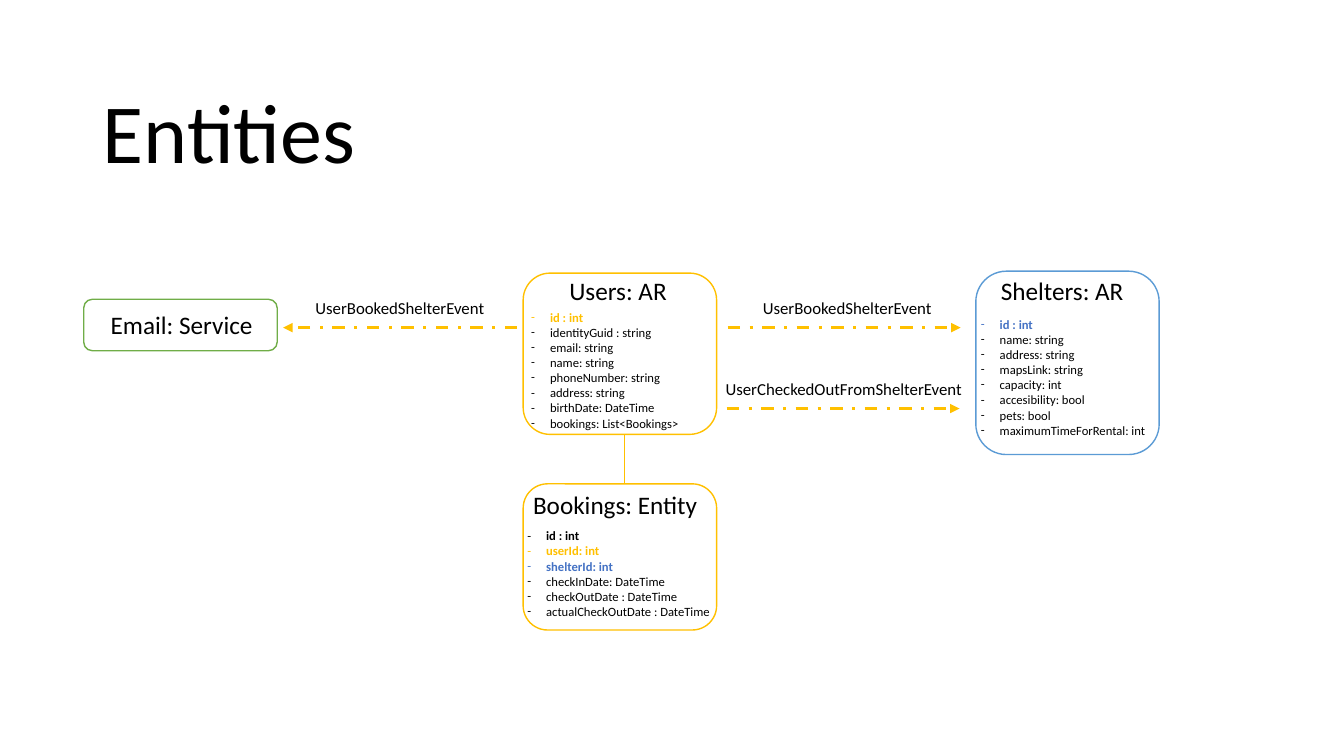
import dataclasses
import typing

import lxml.etree
import pptx
import pptx.dml.color
import pptx.enum.dml
import pptx.enum.shapes
import pptx.enum.text
import pptx.oxml.ns
import pptx.util

Pt = pptx.util.Pt
qn = pptx.oxml.ns.qn
Anchor = pptx.enum.text.MSO_ANCHOR
Align = pptx.enum.text.PP_ALIGN


@dataclasses.dataclass(frozen=True)
class Theme:
    """Colours, font and type sizes of the slide."""
    font: str = "Calibri"
    ink: str = "000000"
    paper: str = "FFFFFF"
    user: str = "FFC000"
    shelter: str = "5B9BD5"
    shelter_key: str = "4472C4"
    service: str = "70AD47"
    title: float = 60
    heading: float = 18
    event: float = 12
    field: float = 9


THEME = Theme()


class Box(typing.NamedTuple):
    """A rectangle in points."""
    left: float
    top: float
    width: float
    height: float


class Field(typing.NamedTuple):
    """One attribute of an entity; keys are bold."""
    text: str
    color: str = THEME.ink
    bold: bool = False


@dataclasses.dataclass(frozen=True)
class Entity:
    """A rounded card with a heading and, for data types, a field list."""
    heading: str
    color: str
    card: Box
    heading_box: Box
    fields_box: typing.Optional[Box] = None
    fields: tuple[Field, ...] = ()


class Event(typing.NamedTuple):
    """A labelled event sent from one entity to another."""
    label: str
    label_box: Box
    start: tuple[float, float]
    end: tuple[float, float]


ENTITIES = [
    Entity("Shelters: AR", THEME.shelter, Box(697, 193.7, 131, 131),
           Box(707.8, 193, 112.3, 28.8), Box(693.4, 222.5, 140.4, 94.3),
           (Field("id : int", THEME.shelter_key, True), Field("name: string"),
            Field("address: string"), Field("mapsLink: string"),
            Field("capacity: int"), Field("accesibility: bool"),
            Field("pets: bool"), Field("maximumTimeForRental: int"))),
    Entity("Bookings: Entity", THEME.user, Box(373.7, 345.6, 138.2, 104.4),
           Box(373.7, 346.3, 153.4, 28.8), Box(369.4, 373.7, 146.9, 83.5),
           (Field("id : int", bold=True), Field("userId: int", THEME.user, True),
            Field("shelterId: int", THEME.shelter_key, True),
            Field("checkInDate: DateTime"), Field("checkOutDate : DateTime"),
            Field("actualCheckOutDate : DateTime"))),
    Entity("Users: AR", THEME.user, Box(373.7, 195.1, 138.2, 115.2),
           Box(399.6, 193, 96.5, 28.8), Box(372.2, 217.4, 140.4, 94.3),
           (Field("id : int", THEME.user, True), Field("identityGuid : string"),
            Field("email: string"), Field("name: string"),
            Field("phoneNumber: string"), Field("address: string"),
            Field("birthDate: DateTime"), Field("bookings: List<Bookings>"))),
    Entity("Email: Service", THEME.service, Box(59.8, 213.8, 138.2, 36.7),
           Box(72, 217.4, 122.4, 28.8)),
]

EVENTS = [
    Event("UserBookedShelterEvent", Box(537.8, 208.8, 140.4, 21.6),
          (519.8, 234), (686.2, 234)),
    Event("UserCheckedOutFromShelterEvent", Box(511.2, 267.1, 183.6, 21.6),
          (519.1, 291.8), (685.4, 291.8)),
    Event("UserBookedShelterEvent", Box(218.2, 208.8, 140.4, 21.6),
          (369.4, 234), (202.3, 234)),
]


def apply(target: typing.Any, values: dict[str, typing.Any]) -> None:
    """Set each named attribute on the target."""
    for name, value in values.items():
        setattr(target, name, value)


def place(holder: typing.Any, box: Box) -> None:
    """Move a placeholder to a box given in points."""
    apply(holder, {name: Pt(value) for name, value in box._asdict().items()})


def rgb(color: str) -> pptx.dml.color.RGBColor:
    """Turn a hex string into a colour."""
    return pptx.dml.color.RGBColor.from_string(color)


def write(paragraph: typing.Any, text: str, size: float,
          color: str = THEME.ink, bold: bool = False) -> None:
    """Add one formatted run to a paragraph."""
    run = paragraph.add_run()
    run.text = text
    apply(run.font, {"name": THEME.font, "size": Pt(size), "bold": bold})
    run.font.color.rgb = rgb(color)


def set_frame(frame: typing.Any, anchor: typing.Any = Anchor.TOP) -> None:
    """Give a text frame wrapping, a fixed size and an anchor."""
    apply(frame, {"word_wrap": True, "vertical_anchor": anchor,
                  "auto_size": pptx.enum.text.MSO_AUTO_SIZE.NONE})


def add_label(slide: typing.Any, text: str, box: Box, size: float) -> None:
    """Add a single-line text box."""
    frame = slide.shapes.add_textbox(*map(Pt, box)).text_frame
    set_frame(frame)
    write(frame.paragraphs[0], text, size)


def fill_fields(holder: typing.Any, entity: Entity) -> None:
    """Write an entity's fields as a dashed list in a body placeholder."""
    place(holder, entity.fields_box)
    frame = holder.text_frame
    set_frame(frame)
    for index, field in enumerate(entity.fields):
        paragraph = frame.add_paragraph() if index else frame.paragraphs[0]
        apply(paragraph, {"space_before": Pt(0), "alignment": Align.LEFT})
        write(paragraph, field.text, THEME.field, field.color, field.bold)
        properties = paragraph._p.get_or_add_pPr()
        properties.set("marL", str(Pt(13.5)))
        properties.set("indent", str(-Pt(13.5)))
        lxml.etree.SubElement(properties, qn("a:buFont"), typeface=THEME.font)
        lxml.etree.SubElement(properties, qn("a:buChar"), char="-")


def add_entity(slide: typing.Any, entity: Entity, bodies: typing.Iterator) -> None:
    """Draw an entity card, its heading and its list on top."""
    card = slide.shapes.add_shape(
        pptx.enum.shapes.MSO_SHAPE.ROUNDED_RECTANGLE, *map(Pt, entity.card))
    card.shadow.inherit = False
    card.fill.solid()
    card.fill.fore_color.rgb = rgb(THEME.paper)
    card.line.color.rgb = rgb(entity.color)
    card.line.width = Pt(1)
    add_label(slide, entity.heading, entity.heading_box, THEME.heading)
    if entity.fields:
        holder = next(bodies)
        fill_fields(holder, entity)
        slide.shapes._spTree.append(holder._element)


def add_line(slide: typing.Any, start: tuple[float, float],
             end: tuple[float, float], width: float) -> typing.Any:
    """Draw a plain straight connector and return it."""
    line = slide.shapes.add_connector(
        pptx.enum.shapes.MSO_CONNECTOR.STRAIGHT, *map(Pt, start + end))
    line.line.color.rgb = rgb(THEME.user)
    line.line.width = Pt(width)
    lxml.etree.SubElement(line._element.spPr, qn("a:effectLst"))
    return line


def add_event(slide: typing.Any, event: Event) -> None:
    """Draw a dash-dot arrow with its event name."""
    arrow = add_line(slide, event.start, event.end, 2.25)
    arrow.line.dash_style = pptx.enum.dml.MSO_LINE.DASH_DOT
    lxml.etree.SubElement(arrow.line._get_or_add_ln(), qn("a:tailEnd"), type="triangle")
    add_label(slide, event.label, event.label_box, THEME.event)


def build() -> None:
    """Build the slide and save it."""
    deck = pptx.Presentation()
    apply(deck, {"slide_width": Pt(960), "slide_height": Pt(540)})
    slide = deck.slides.add_slide(deck.slide_layouts.get_by_name("Comparison"))
    title = slide.shapes.title
    place(title, Box(66.2, 28.8, 828, 104.4))
    set_frame(title.text_frame, Anchor.BOTTOM)
    heading = title.text_frame.paragraphs[0]
    apply(heading, {"alignment": Align.LEFT, "line_spacing": 0.9})
    write(heading, "Entities", THEME.title)
    bodies = iter(list(slide.placeholders)[1:])
    for entity in ENTITIES:
        add_entity(slide, entity, bodies)
    for unused in bodies:
        slide.shapes._spTree.remove(unused._element)
    add_line(slide, (445.7, 310.7), (445.7, 345.6), 0.5)
    for event in EVENTS:
        add_event(slide, event)
    deck.save("out.pptx")


build()
